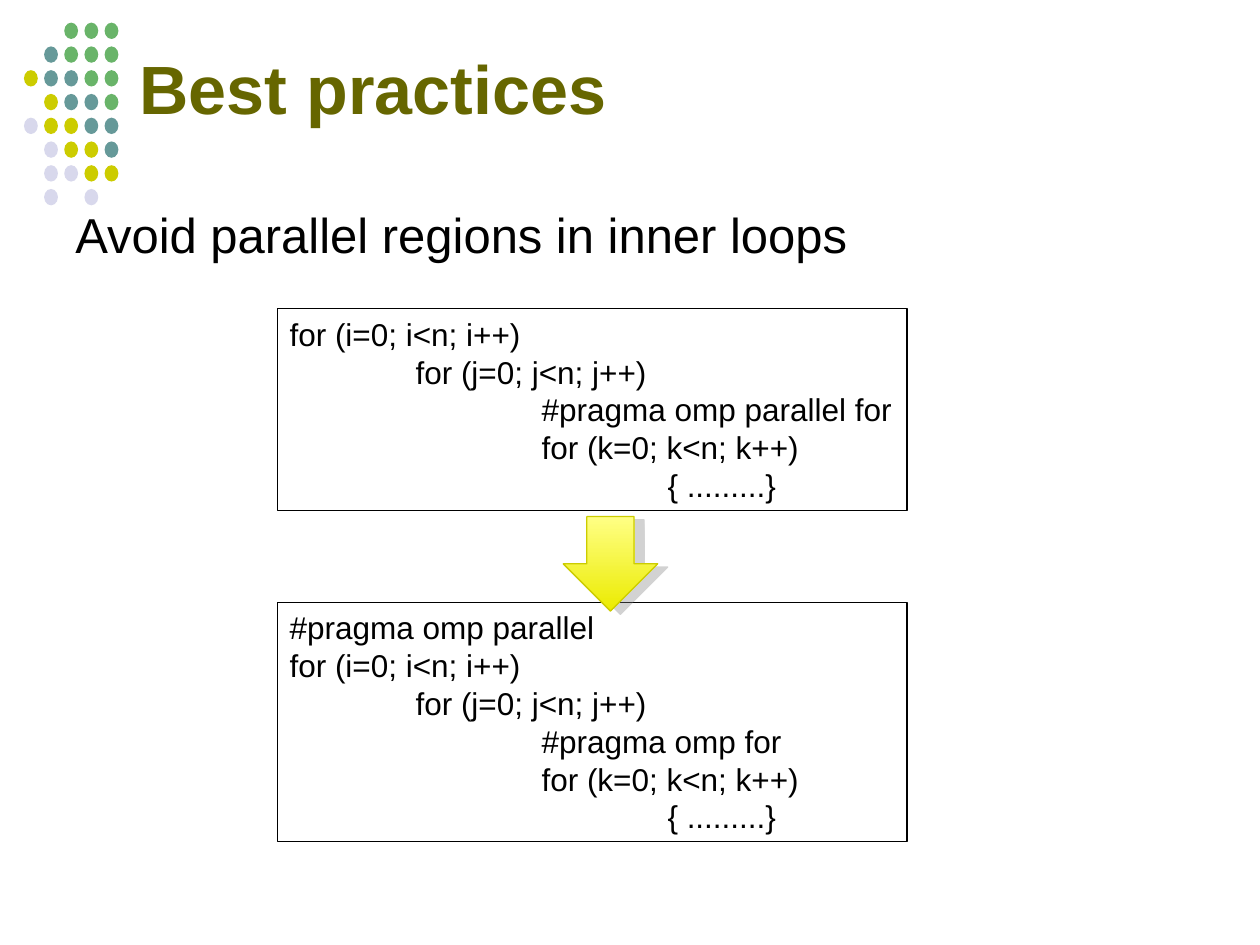
from lxml import etree
from pptx import Presentation
from pptx import util as u
from pptx.dml import color as dml
from pptx.enum import shapes, text
from pptx.oxml import ns

DOT_ROWS = ["..GGG", ".TGGG", "YTTGG", ".YTTG", "LYYTT", ".LYYT", ".LLYY", ".L.L."]
DOT_COLORS = {"G": "008000", "T": "669999", "Y": "CCCC00", "L": "D8D8EC"}
BEFORE = [
    "for (i=0; i<n; i++)",
    "\tfor (j=0; j<n; j++)",
    "\t\t#pragma omp parallel for",
    "\t\tfor (k=0; k<n; k++)",
    "\t\t\t{ .........}",
]
AFTER = [
    "#pragma omp parallel",
    "for (i=0; i<n; i++)",
    "\tfor (j=0; j<n; j++)",
    "\t\t#pragma omp for",
    "\t\tfor (k=0; k<n; k++)",
    "\t\t\t{ .........}",
]


def rgb(value):
    return dml.RGBColor.from_string(value)


def sub(parent, tag, **attributes):
    values = {name: str(value) for name, value in attributes.items()}
    return etree.SubElement(parent, ns.qn(tag), values)


def inches(box):
    return [u.Inches(length) for length in box]


def write(frame, lines, size=18, color="000000", bold=False, top=0.05, spacing=None, tabs=0):
    frame.word_wrap = True
    frame.vertical_anchor = text.MSO_ANCHOR.TOP
    frame.margin_left = frame.margin_right = u.Inches(0.1)
    frame.margin_top, frame.margin_bottom = u.Inches(top), u.Inches(0.05)
    for index, line in enumerate(lines):
        paragraph = frame.add_paragraph() if index else frame.paragraphs[0]
        paragraph.alignment = text.PP_ALIGN.LEFT
        if spacing:
            paragraph.line_spacing = u.Pt(spacing)
        if tabs:
            stops = sub(paragraph._p.get_or_add_pPr(), "a:tabLst")
            for stop in range(1, tabs + 1):
                sub(stops, "a:tab", pos=u.Inches(stop), algn="l")
        run = paragraph.add_run()
        run.text = line
        run.font.name = "Arial"
        run.font.size = u.Pt(size)
        run.font.bold = bold
        run.font.color.rgb = rgb(color)


def add_dots(slide, box):
    left, top, width, height = box
    dot_width, dot_height = 0.11, 0.13
    step_x = (width - dot_width) / (len(DOT_ROWS[0]) - 1)
    step_y = (height - dot_height) / (len(DOT_ROWS) - 1)
    dots = slide.shapes.add_group_shape()
    for row, keys in enumerate(DOT_ROWS):
        for column, key in enumerate(keys):
            if key == ".":
                continue
            place = (left + column * step_x, top + row * step_y, dot_width, dot_height)
            dot = dots.shapes.add_shape(shapes.MSO_SHAPE.OVAL, *inches(place))
            dot.shadow.inherit = False
            dot.line.fill.background()
            dot.fill.solid()
            dot.fill.fore_color.rgb = rgb(DOT_COLORS[key])
            if key == "G":
                tone = dot._element.spPr.find(ns.qn("a:solidFill"))[0]
                sub(tone, "a:alpha", val=59000)


def add_text(slide, box, line, **style):
    write(slide.shapes.add_textbox(*inches(box)).text_frame, [line], **style)


def add_code(slide, box, lines):
    code = slide.shapes.add_shape(shapes.MSO_SHAPE.RECTANGLE, *inches(box))
    code.shadow.inherit = False
    code.fill.background()
    code.line.color.rgb = rgb("000000")
    code.line.width = u.Pt(0.75)
    write(code.text_frame, lines, spacing=21.6, tabs=7)


def add_arrow(slide, box):
    arrow = slide.shapes.add_shape(shapes.MSO_SHAPE.DOWN_ARROW, *inches(box))
    arrow.fill.gradient()
    arrow.fill.gradient_angle = 270
    for stop, position, color in zip(arrow.fill.gradient_stops, (0, 1), ("FFFF85", "EBEB00")):
        stop.position = position
        stop.color.rgb = rgb(color)
    arrow.line.color.rgb = rgb("CCCC00")
    arrow.line.width = u.Pt(0.75)
    arrow.shadow.inherit = False
    effects = arrow._element.spPr.find(ns.qn("a:effectLst"))
    shadow = sub(effects, "a:outerShdw", blurRad=0, dist=u.Pt(6), dir=18 * 60000,
                 algn="ctr", rotWithShape=0)
    sub(sub(shadow, "a:srgbClr", val="808080"), "a:alpha", val=35000)


def main():
    deck = Presentation()
    deck.slide_width, deck.slide_height = u.Inches(10), u.Inches(7.5)
    slide = deck.slides.add_slide(deck.slide_layouts[6])
    add_dots(slide, (0.19, 0.18, 0.75, 1.45))
    add_text(slide, (1.01, 0.27, 8.25, 0.9), "Best practices",
             size=39, color="666600", bold=True, top=0.1)
    add_text(slide, (0.5, 1.52, 9, 1.14), "Avoid parallel regions in inner loops",
             size=28, top=0.1)
    add_code(slide, (2.2, 2.45, 5, 1.6), BEFORE)
    add_code(slide, (2.2, 4.78, 5, 1.9), AFTER)
    add_arrow(slide, (4.47, 4.1, 0.75, 0.75))
    deck.save("out.pptx")


if __name__ == "__main__":
    main()
